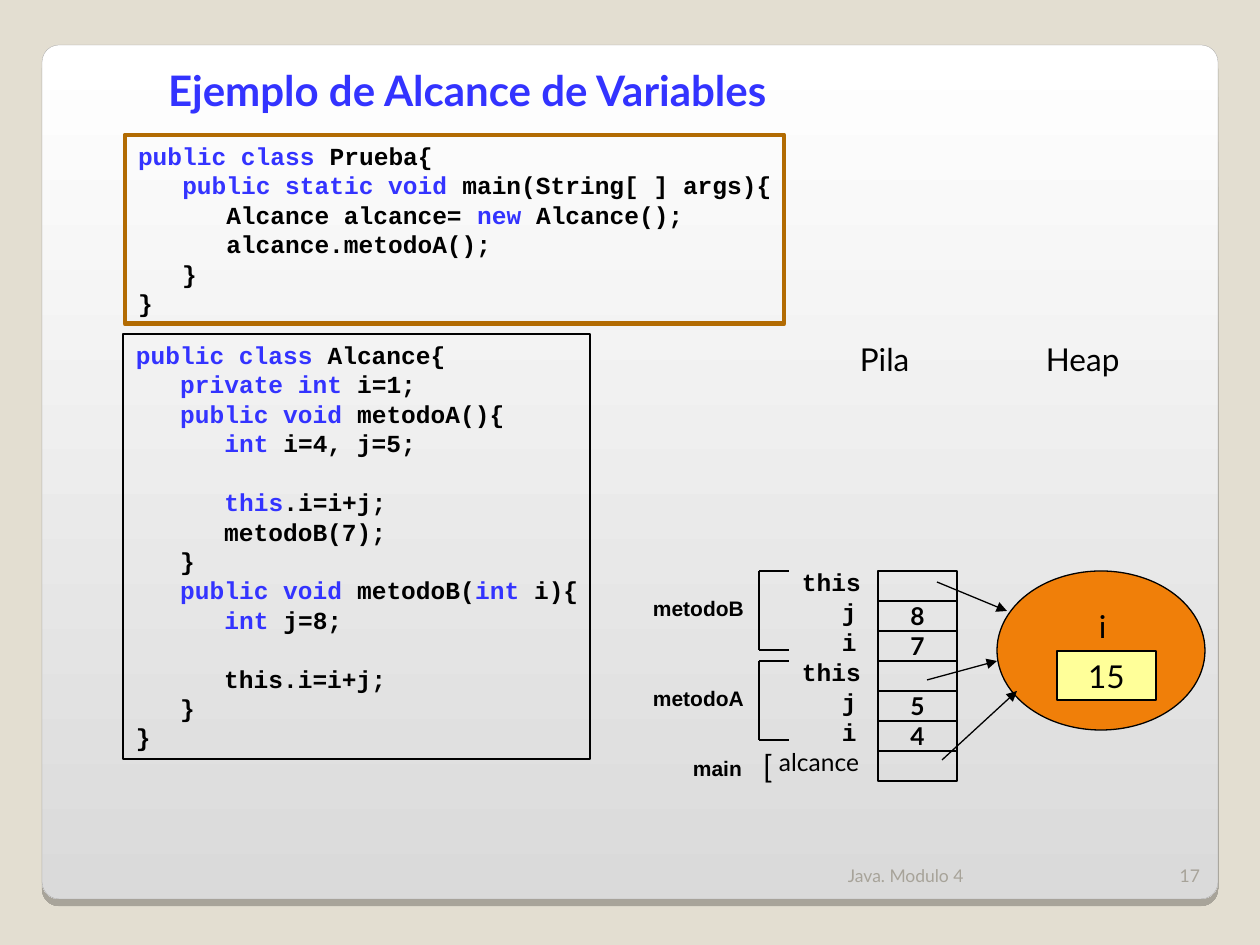
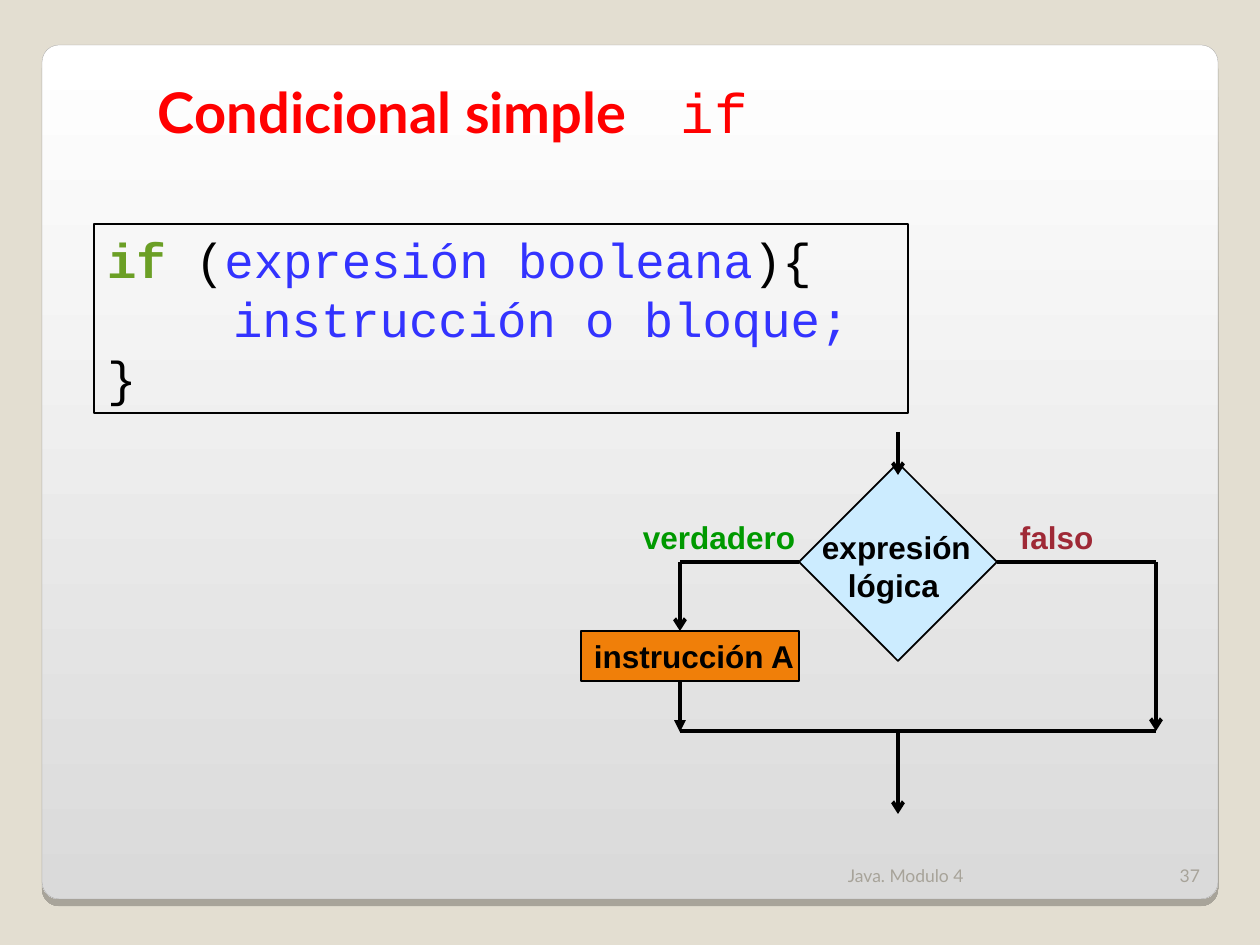
import dataclasses

import lxml.etree
import pptx
import pptx.dml.color
import pptx.enum.shapes
import pptx.enum.text
import pptx.oxml.ns
import pptx.util

SCALE = 914400 / 126
KIND = pptx.enum.shapes.MSO_SHAPE
ALIGN = pptx.enum.text.PP_ALIGN
ANCHOR = pptx.enum.text.MSO_ANCHOR
qn = pptx.oxml.ns.qn


@dataclasses.dataclass(frozen=True)
class Theme:
    """Colours, fonts and type sizes of the deck."""
    back: str = "E3DED1"
    top: str = "FFFFFF"
    base: str = "DADADA"
    edge: str = "A4A3A3"
    foot: str = "A7A399"
    ink: str = "000000"
    blue: str = "3333FF"
    red: str = "FF0000"
    green: str = "6B9F25"
    yes: str = "009900"
    no: str = "9F2936"
    brown: str = "B26B02"
    orange: str = "F07F09"
    yellow: str = "FFFF99"
    sky: str = "CCECFF"
    sans: str = "Lato"
    mono: str = "Courier New"
    label: str = "Arial"
    tiny: int = 10
    small: int = 12
    code: int = 14
    body: int = 18
    head: int = 24
    syntax: int = 28
    big: int = 32
    hair: float = 0.75
    thin: float = 1
    thick: float = 2.25
    bold: float = 2.75


T = Theme()


def px(num):
    """Turn pixels into EMU."""
    return pptx.util.Emu(round(num * SCALE))


def rgb(hue):
    """Turn a hex string into a colour."""
    return pptx.dml.color.RGBColor.from_string(hue)


def ink(run, size, hue=T.ink, font=T.sans, bold=False):
    """Format one run."""
    run.font.size = pptx.util.Pt(size)
    run.font.color.rgb = rgb(hue)
    run.font.name = font
    run.font.bold = bold


def frame(shape, size, align=ALIGN.LEFT, anchor=ANCHOR.TOP):
    """Set insets, wrapping and line pitch of a text shape."""
    text = shape.text_frame
    text.auto_size = pptx.enum.text.MSO_AUTO_SIZE.NONE
    text.word_wrap = True
    text.vertical_anchor = anchor
    text.margin_left = px(13)
    text.margin_right = px(0 if align == ALIGN.LEFT else 13)
    text.margin_top = text.margin_bottom = px(6)
    for para in text.paragraphs:
        para.alignment = align
        para.line_spacing = pptx.util.Pt(size * 1.2)


def put(shape, words, size, align=ALIGN.LEFT, anchor=ANCHOR.TOP, **look):
    """Write plain text into a shape."""
    shape.text_frame.text = words
    frame(shape, size, align, anchor)
    for para in shape.text_frame.paragraphs:
        for run in para.runs:
            ink(run, size, **look)
    return shape


def note(slide, box, words, size, **look):
    """Add a text box."""
    return put(slide.shapes.add_textbox(*map(px, box)), words, size, **look)


def block(slide, kind, box, fill=None, line=T.ink, width=T.hair):
    """Add a preset shape."""
    shape = slide.shapes.add_shape(kind, *map(px, box))
    shape.shadow.inherit = False
    if fill:
        shape.fill.solid()
        shape.fill.fore_color.rgb = rgb(fill)
    else:
        shape.fill.background()
    shape.line.color.rgb = rgb(line)
    shape.line.width = pptx.util.Pt(width)
    return shape


def rule(slide, x, y, ends, width=T.hair, tip=None):
    """Add a line whose ends are relative to x, y."""
    ax, ay, bx, by = ends
    line = slide.shapes.add_connector(
        pptx.enum.shapes.MSO_CONNECTOR.STRAIGHT,
        px(x + ax), px(y + ay), px(x + bx), px(y + by))
    line.line.color.rgb = rgb(T.ink)
    line.line.width = pptx.util.Pt(width)
    props = line._element.spPr
    if tip:
        lxml.etree.SubElement(props.find(qn("a:ln")), qn("a:tailEnd"), type=tip)
    lxml.etree.SubElement(props, qn("a:effectLst"))


def stop(para, pos):
    """Give a paragraph one left tab stop."""
    tabs = lxml.etree.SubElement(para._p.get_or_add_pPr(), qn("a:tabLst"))
    lxml.etree.SubElement(tabs, qn("a:tab"), pos=str(px(pos)), algn="l")


def code(slide, box, lines, size, bold=True, gaps=(), line=T.ink, width=T.hair):
    """Add a code box; every second part between bars is a keyword."""
    shape = block(slide, KIND.RECTANGLE, box, line=line, width=width)
    text = shape.text_frame
    for row, words in enumerate(lines):
        para = text.add_paragraph() if row else text.paragraphs[0]
        for pos, part in enumerate(words.split("|")):
            if part:
                run = para.add_run()
                run.text = part
                ink(run, size, T.blue if pos % 2 else T.ink, T.mono, bold)
    frame(shape, size)
    for row in gaps:
        text.paragraphs[row].space_before = pptx.util.Pt(size * 1.2)
    return shape


def card(slide):
    """Draw the panel with its shadow."""
    panel = block(slide, KIND.ROUNDED_RECTANGLE, (42, 45, 1176, 854),
                  line=T.edge, width=0.17)
    panel.adjustments[0] = 0.02
    panel.fill.gradient()
    panel.fill.gradient_angle = 270
    for mark, hue in zip(panel.fill.gradient_stops, (T.top, T.base)):
        mark.color.rgb = rgb(hue)
    cast = lxml.etree.SubElement(
        panel._element.spPr.find(qn("a:effectLst")), qn("a:outerShdw"),
        blurRad="0", dist=str(pptx.util.Pt(4)), dir="5400000", rotWithShape="0")
    tone = lxml.etree.SubElement(cast, qn("a:srgbClr"), val=T.ink)
    lxml.etree.SubElement(tone, qn("a:alpha"), val="25000")


def foot(slide, x, y, page):
    """Write the footer and page number."""
    look = dict(size=T.tiny, hue=T.foot, anchor=ANCHOR.BOTTOM)
    note(slide, (x, y, 315, 50), "Java. Modulo 4", **look)
    note(slide, (x + 315, y, 63, 50), page, align=ALIGN.RIGHT, **look)


def start(deck, box, words, size, hue, page):
    """Add a slide with panel, title and footer."""
    slide = deck.slides.add_slide(deck.slide_layouts[5])
    card(slide)
    title = slide.shapes.title
    title.left, title.top, title.width, title.height = map(px, box)
    put(title, words, size, hue=hue, bold=True)
    slide.shapes._spTree.append(title._element)
    foot(slide, 835, 842, page)
    return slide


def call(slide, x, y, name):
    """Draw the bracket and labels of one method call."""
    for ends in ((0, 0, 0, 79), (0, 0, 30, 0), (0, 79, 30, 79)):
        rule(slide, x + 119, y, ends)
    note(slide, (x, y + 19, 116, 38), name, T.small, font=T.label, bold=True)
    for row, (left, word) in enumerate(((149, "this"), (189, "j"), (189, "i"))):
        note(slide, (x + left, y - 10 + 30 * row, 238 - left, 43), word,
             T.code, font=T.mono, bold=True)


def stack(slide, x, y):
    """Draw the stack cells with their labels."""
    for row, value in enumerate(("", "8", "7", "", "5", "4", "")):
        cell = block(slide, KIND.RECTANGLE, (x + 238, y + 30 * row, 79, 30))
        if value:
            put(cell, value, T.code, ALIGN.CENTER, ANCHOR.MIDDLE, bold=True)
    call(slide, x, y, "metodoB")
    call(slide, x, y + 90, "metodoA")
    note(slide, (x + 40, y + 179, 75, 38), "main", T.small,
         font=T.label, bold=True)
    note(slide, (x + 110, y + 170, 35, 50), "[", T.body)
    note(slide, (x + 126, y + 170, 111, 43), "alcance", T.code)


def heap(slide, x, y):
    """Draw the object on the heap."""
    block(slide, KIND.OVAL, (x, y, 208, 159), T.orange)
    note(slide, (x + 89, y + 30, 33, 50), "i", T.body)
    value = block(slide, KIND.RECTANGLE, (x + 60, y + 80, 99, 49), T.yellow)
    put(value, "15", T.body, ALIGN.CENTER, ANCHOR.MIDDLE)


def memory(slide, x, y):
    """Draw stack, heap and the references between them."""
    note(slide, (x + 207, y - 237, 90, 50), "Pila", T.body)
    note(slide, (x + 393, y - 237, 110, 50), "Heap", T.body)
    stack(slide, x, y)
    heap(slide, x + 357, y)
    for ends in ((297, 11, 367, 40), (287, 109, 357, 90), (302, 189, 377, 120)):
        rule(slide, x, y, ends, tip="triangle")


def flow(slide, x, y):
    """Draw the flowchart of a simple condition."""
    block(slide, KIND.DIAMOND, (x + 218, y + 31, 198, 198), T.sky, width=T.thin)
    test = note(slide, (x + 228, y + 90, 180, 88), "expresión\nlógica", T.body,
                font=T.label, bold=True)
    test.text_frame.paragraphs[1]._p.get_or_add_pPr().set("marL", str(px(26)))
    for left, wide, word, hue in ((49, 178, "verdadero", T.yes),
                                  (426, 100, "falso", T.no)):
        note(slide, (x + left, y + 80, wide, 50), word, T.body,
             hue=hue, font=T.label, bold=True)
    step = block(slide, KIND.RECTANGLE, (x, y + 199, 218, 50), T.orange,
                 width=T.thin)
    put(step, "instrucción A", T.body, font=T.label, bold=True)
    for ends, tip in (((317, 0, 317, 43), "arrow"),
                      ((218, 130, 99, 130), None),
                      ((99, 130, 99, 199), "arrow"),
                      ((416, 130, 575, 130), None),
                      ((575, 130, 575, 299), "arrow"),
                      ((99, 249, 99, 300), "triangle"),
                      ((99, 299, 575, 299), None),
                      ((317, 299, 317, 382), "arrow")):
        rule(slide, x, y, ends, T.thick, tip)


def scope(deck):
    """Build the slide on variable scope."""
    slide = start(deck, (155, 58, 667, 63), "Ejemplo de Alcance de Variables",
                  T.head, T.blue, "17")
    code(slide, (125, 135, 659, 189), (
        "|public class| Prueba{",
        "   |public static void| main(String[ ] args){",
        "      Alcance alcance= |new| Alcance();",
        "      alcance.metodoA();",
        "   }",
        "}"), T.code, line=T.brown, width=T.bold)
    code(slide, (123, 334, 467, 425), (
        "|public class| Alcance{",
        "   |private int| i=1;",
        "   |public void| metodoA(){",
        "      |int| i=4, j=5;",
        "      |this|.i=i+j;",
        "      metodoB(7);",
        "   }",
        "   |public void| metodoB(|int| i){",
        "      |int| j=8;",
        "      this.i=i+j;",
        "   }",
        "}"), T.code, gaps=(4, 9))
    memory(slide, 640, 571)


def choice(deck):
    """Build the slide on the simple condition."""
    slide = start(deck, (145, 72, 713, 80), "Condicional simple\t",
                  T.big, T.red, "37")
    para = slide.shapes.title.text_frame.paragraphs[0]
    stop(para, 523)
    word = para.add_run()
    word.text = "if"
    ink(word, T.big, T.red, T.mono)
    shape = code(slide, (94, 224, 814, 189), (
        "|if| (|expresión booleana|){",
        "|\tinstrucción o bloque;",
        "}"), T.syntax, bold=False)
    first, second, last = shape.text_frame.paragraphs
    ink(first.runs[0], T.syntax, T.green, T.mono, True)
    stop(second, 126)
    flow(slide, 581, 432)


def main():
    """Build and save the deck."""
    deck = pptx.Presentation()
    deck.slide_width, deck.slide_height = px(1260), px(945)
    back = deck.slide_master.background.fill
    back.solid()
    back.fore_color.rgb = rgb(T.back)
    scope(deck)
    choice(deck)
    deck.save("out.pptx")


if __name__ == "__main__":
    main()
